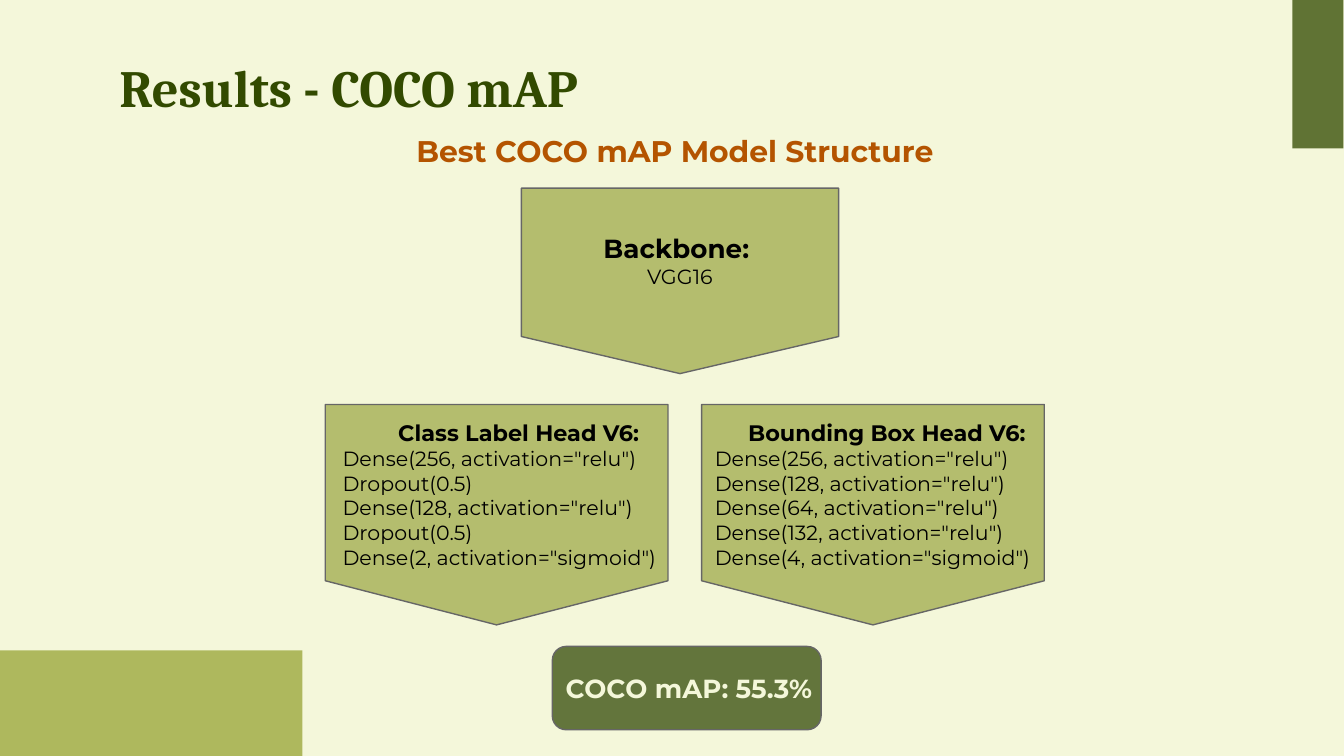
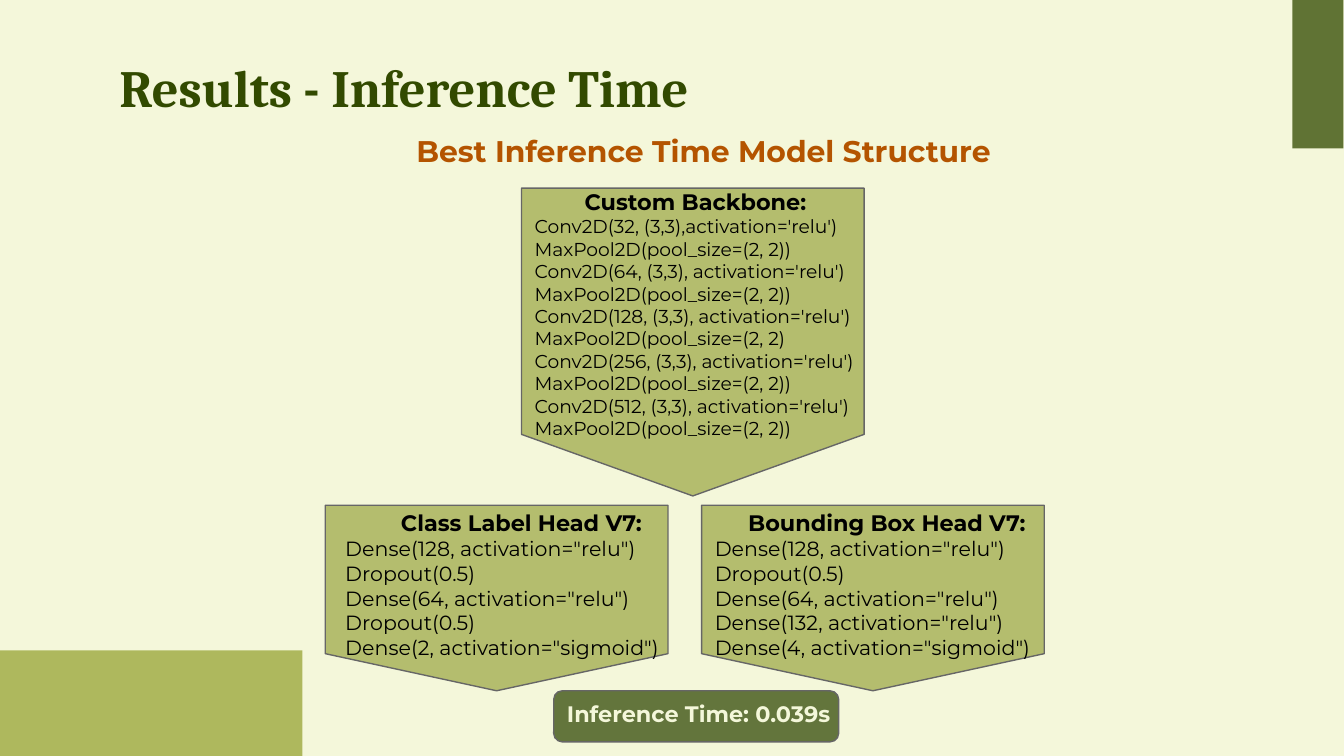
from lxml import etree
from pptx import Presentation
from pptx import util as u
from pptx.dml.color import RGBColor
from pptx.enum import shapes, text
from pptx.oxml import ns

SHAPE = shapes.MSO_SHAPE
CENTER = text.PP_ALIGN.CENTER
LEFT = text.PP_ALIGN.LEFT

# Shared style
PAPER, FOREST, OLIVE = "F4F7DA", "324A00", "7C8C03"
PANEL, PILL, OUTLINE = "B4BD6E", "63753C", "666666"
RUST, INK = "B45400", "000000"
HEADING_FONT, BODY_FONT = "Cambria", "Montserrat"

# Columns shared by both slides: left edge of each panel
CLASS_LEFT, BOUNDING_LEFT, BACKBONE_LEFT = 2.42, 5.22, 3.88
PANEL_WIDTH = 2.55


def color(hex_text):
    return RGBColor.from_string(hex_text)


def add_block(page, kind, at, fill, line=None):
    block = page.shapes.add_shape(kind, *map(u.Inches, at))
    block.shadow.inherit = False
    block.fill.solid()
    block.fill.fore_color.rgb = color(fill)
    if line:
        block.line.color.rgb = color(line)
        block.line.width = u.Pt(0.75)
    else:
        block.line.fill.background()
    return block


def add_band(page, at, fill, alpha, rotation):
    band = add_block(page, SHAPE.RECTANGLE, at, fill)
    band.rotation = rotation
    tint = band.element.spPr.find(ns.qn("a:solidFill"))[0]
    etree.SubElement(tint, ns.qn("a:alpha"), val=str(alpha * 1000))


def add_text(page, at, lines):
    """Each line is (words, size, bold, alignment, colour, font)."""
    box = page.shapes.add_textbox(*map(u.Inches, at))
    frame = box.text_frame
    frame.word_wrap = True
    frame.margin_left = frame.margin_right = u.Inches(0.1)
    frame.margin_top = frame.margin_bottom = u.Inches(0.1)
    for index, (words, size, bold, align, ink, font) in enumerate(lines):
        para = frame.paragraphs[0] if index == 0 else frame.add_paragraph()
        para.alignment = align
        span = para.add_run()
        span.text = words
        span.font.size = u.Pt(size)
        span.font.bold = bold
        span.font.name = font
        span.font.color.rgb = color(ink)


def add_page(deck, title, subtitle):
    page = deck.slides.add_slide(deck.slide_layouts[6])
    page.background.fill.solid()
    page.background.fill.fore_color.rgb = color(PAPER)
    # Corner bands
    add_band(page, (0, 4.84, 2.25, 0.79), OLIVE, 58, 180)
    add_band(page, (9.25, 0.36, 1.11, 0.38), FOREST, 76, 90)
    # Headings
    add_text(page, (0.79, 0.31, 8.42, 0.63),
             [(title, 28, True, LEFT, FOREST, HEADING_FONT)])
    add_text(page, (3, 0.89, 4.56, 0.47),
             [(subtitle, 16, True, LEFT, RUST, BODY_FONT)])
    return page


def add_panel(page, panel_at, text_at, heading, layers,
              heading_size=12, size=11, align=LEFT):
    add_block(page, SHAPE.FLOWCHART_OFFPAGE_CONNECTOR, panel_at, PANEL, OUTLINE)
    lines = [(heading, heading_size, True, CENTER, INK, BODY_FONT)]
    lines += [(layer, size, False, align, INK, BODY_FONT) for layer in layers]
    add_text(page, text_at, lines)


def add_heads(page, version, top, height, text_top, class_text_left,
              class_layers, bounding_layers):
    add_panel(page, (BOUNDING_LEFT, top, PANEL_WIDTH, height),
              (BOUNDING_LEFT, text_top, 2.76, 1.8),
              f"Bounding Box Head {version}:", bounding_layers)
    add_panel(page, (CLASS_LEFT, top, PANEL_WIDTH, height),
              (class_text_left, text_top, 2.82, 1.8),
              f"Class Label Head {version}:", class_layers)


def add_result(page, pill_at, text_top, text_height, words, size):
    add_block(page, SHAPE.ROUNDED_RECTANGLE, pill_at, PILL, OUTLINE)
    add_text(page, (pill_at[0], text_top, 2.32, text_height),
             [(words, size, True, LEFT, PAPER, BODY_FONT)])


def dense(units, activation="relu"):
    return f'Dense({units}, activation="{activation}")'


def class_head(first, second):
    drop = "Dropout(0.5)"
    return [dense(first), drop, dense(second), drop, dense(2, "sigmoid")]


def build_map_page(deck):
    page = add_page(deck, "Results - COCO mAP", "Best COCO mAP Model Structure")
    add_heads(page, "V6", 3.01, 1.64, 3.02, 2.45, class_head(256, 128),
              [dense(256), dense(128), dense(64), dense(132),
               dense(4, "sigmoid")])
    add_panel(page, (BACKBONE_LEFT, 1.4, 2.36, 1.38), (3.93, 1.63, 2.26, 0.62),
              "Backbone: ", ["VGG16"], heading_size=14, align=CENTER)
    add_result(page, (4.11, 4.81, 2, 0.62), 4.9, 0.44, "COCO mAP: 55.3%", 14)


def build_time_page(deck):
    page = add_page(deck, "Results - Inference Time",
                    "Best Inference Time Model Structure")
    add_heads(page, "V7", 3.76, 1.38, 3.69, 2.47, class_head(128, 64),
              [dense(128), "Dropout(0.5)", dense(64), dense(132),
               dense(4, "sigmoid")])
    pool = "MaxPool2D(pool_size=(2, 2))"
    add_panel(page, (BACKBONE_LEFT, 1.4, PANEL_WIDTH, 2.29),
              (BACKBONE_LEFT, 1.3, 2.59, 2.09), "Custom Backbone:",
              ["Conv2D(32, (3,3),activation='relu')", pool,
               "Conv2D(64, (3,3), activation='relu')", pool,
               "Conv2D(128, (3,3), activation='relu')",
               "MaxPool2D(pool_size=(2, 2)",
               "Conv2D(256, (3,3), activation='relu')", pool,
               "Conv2D(512, (3,3), activation='relu')", pool], size=10)
    add_result(page, (4.12, 5.14, 2.12, 0.38), 5.11, 0.4,
               "Inference Time: 0.039s", 12)


def main():
    deck = Presentation()
    # Widescreen, 16:9
    deck.slide_width = u.Inches(10)
    deck.slide_height = deck.slide_width * 9 // 16
    build_map_page(deck)
    build_time_page(deck)
    deck.save("out.pptx")


if __name__ == "__main__":
    main()
